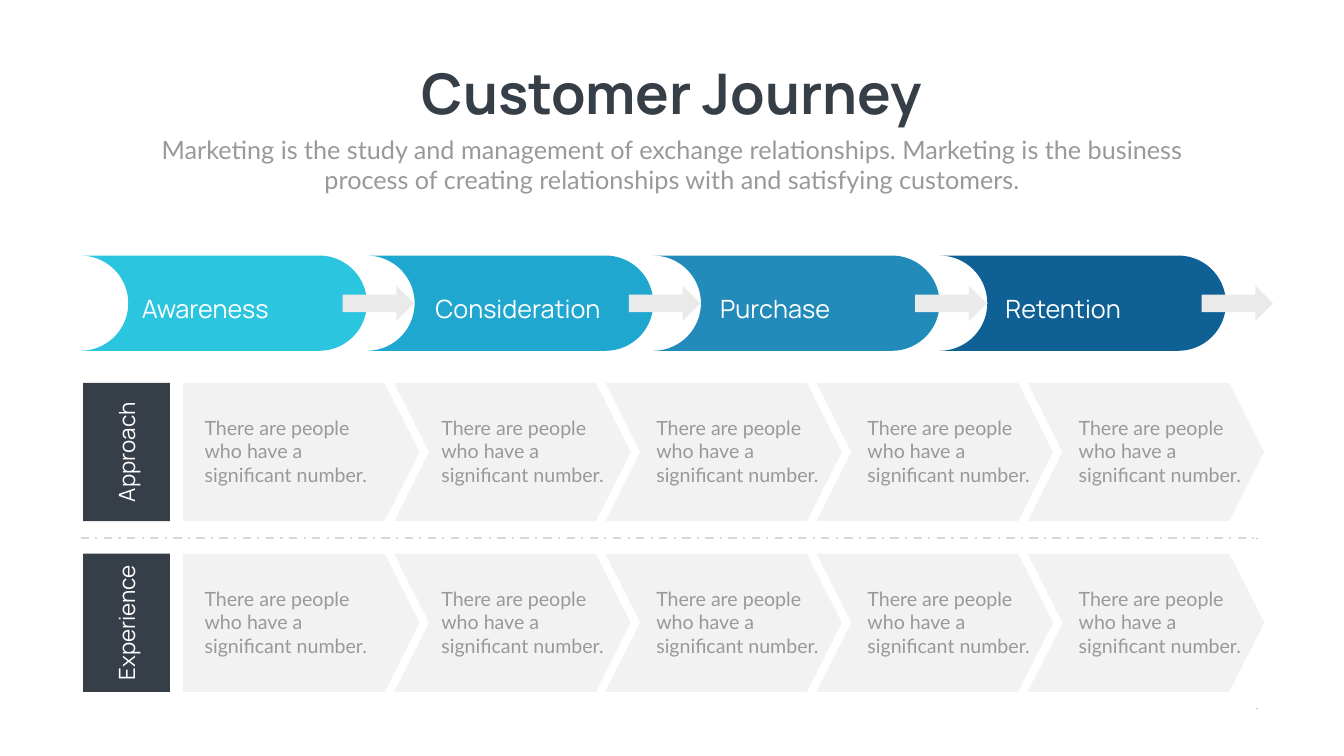
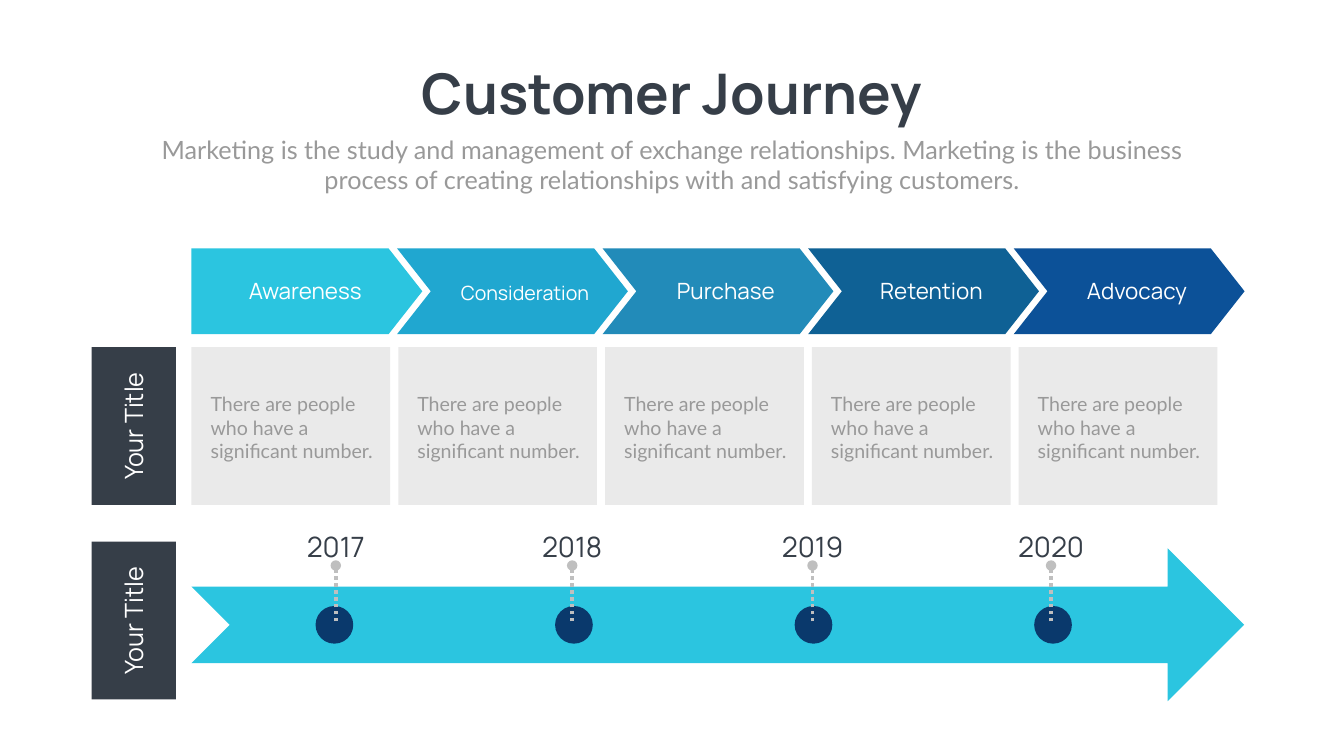
from pptx import Presentation
from pptx.dml.color import RGBColor
from pptx.enum.dml import MSO_LINE
from pptx.enum.shapes import MSO_CONNECTOR, MSO_SHAPE
from pptx.enum.text import MSO_ANCHOR, MSO_AUTO_SIZE, PP_ALIGN
from pptx.oxml.ns import qn
from pptx.util import Cm, Pt
from lxml.etree import SubElement

HEADING_FONT, BODY_FONT = "Manrope", "Lato"
DARK, GREY, WHITE = "363E48", "999999", "FFFFFF"
PANEL, PALE, NAVY = "EAEAEA", "F2F2F2", "0A396C"
STAGE_COLOURS = ["2BC5E0", "20A7D0", "228BB9", "0F6195", "0C5198"]

TITLE = "Customer Journey"
SUBTITLE = ("Marketing is the study and management of exchange relationships. "
            "Marketing is the business process of creating relationships with "
            "and satisfying customers.")
NOTE = "There are people who have a significant number."
STAGES = ["Awareness", "Consideration", "Purchase", "Retention", "Advocacy"]


def rgb(colour):
    return RGBColor.from_string(colour)


def line_height(size):
    """Height in cm of a one-line box for text of the given point size."""
    return round(size * 0.051, 2)


def write(shape, text, size, font, colour, align, bold=False):
    frame = shape.text_frame
    frame.text = text
    frame.word_wrap = True
    frame.auto_size = MSO_AUTO_SIZE.NONE
    frame.vertical_anchor = MSO_ANCHOR.TOP
    paragraph = frame.paragraphs[0]
    paragraph.alignment = align
    paragraph.space_before = Pt(0)
    paragraph.font.size = Pt(size)
    paragraph.font.name = font
    paragraph.font.bold = bold
    paragraph.font.color.rgb = rgb(colour)


def add_text(slide, box, text, size, font=HEADING_FONT, colour=WHITE,
             align=PP_ALIGN.CENTER):
    label = slide.shapes.add_textbox(*map(Cm, box))
    write(label, text, size, font, colour, align)
    return label


def add_note(slide, left, top):
    add_text(slide, (left, top, 8.75, 3.75), NOTE, 28, BODY_FONT, GREY,
             PP_ALIGN.LEFT)


def add_block(slide, preset, box, colour, adjustment=None):
    block = slide.shapes.add_shape(preset, *map(Cm, box))
    block.shadow.inherit = False
    block.fill.solid()
    block.fill.fore_color.rgb = rgb(colour)
    block.line.fill.background()
    if adjustment is not None:
        block.adjustments[0] = adjustment
    return block


def add_line(slide, ends, colour, width, dash=None, oval_end=False):
    line = slide.shapes.add_connector(MSO_CONNECTOR.STRAIGHT, *map(Cm, ends))
    line.line.color.rgb = rgb(colour)
    line.line.width = Pt(width)
    if dash:
        line.line.dash_style = dash
    properties = line._element.spPr
    if oval_end:
        SubElement(properties.find(qn("a:ln")), qn("a:tailEnd"), type="oval")
    SubElement(properties, qn("a:effectLst"))


def add_chevrons(slide, box, pitch, tip, colours):
    """Draw a flat-backed pentagon followed by chevrons; return their lefts."""
    left, top, width, height = box
    lefts = [left + i * pitch for i in range(len(colours))]
    for i, (x, colour) in enumerate(zip(lefts, colours)):
        preset = MSO_SHAPE.CHEVRON if i else MSO_SHAPE.PENTAGON
        add_block(slide, preset, (x, top, width, height), colour, tip / height)
    return lefts


def add_row_label(slide, box, text, size):
    """Draw a dark panel with its text turned to read upwards."""
    left, top, width, height = box
    add_block(slide, MSO_SHAPE.RECTANGLE, box, DARK)
    text_width, text_height = 9.2, line_height(size)
    label = add_text(slide, (left + (width - text_width) / 2,
                             top + (height - text_height) / 2,
                             text_width, text_height), text, size)
    label.rotation = 270


def add_headed_slide(deck):
    slide = deck.slides.add_slide(deck.slide_layouts[0])
    headings = [
        (slide.shapes.title, (19.94, 2.84, 27.84, 3.68),
         (TITLE, 80, HEADING_FONT, DARK, PP_ALIGN.CENTER, True)),
        (slide.placeholders[1], (7.42, 6.63, 52.88, 3.33),
         (SUBTITLE, 36, BODY_FONT, GREY, PP_ALIGN.CENTER)),
    ]
    for holder, box, content in headings:
        holder.left, holder.top, holder.width, holder.height = map(Cm, box)
        write(holder, *content)
    return slide


def add_stage_band(slide, box):
    left, top, width, height = box
    stage_width = width / 4
    label_offsets = [2.84, 3.2, 3.12, 3.07]
    for i, offset in enumerate(label_offsets):
        x = left + i * stage_width
        stage = add_block(slide, MSO_SHAPE.FLOWCHART_STORED_DATA,
                          (x, top, stage_width, height), STAGE_COLOURS[i])
        stage._element.spPr.xfrm.set("flipH", "1")
        add_text(slide, (x + offset, top + 1.78, 10, 1.25), STAGES[i], 36,
                 align=PP_ALIGN.LEFT)
        add_block(slide, MSO_SHAPE.RIGHT_ARROW,
                  (x + 13.2, top + 1.52, 3.6, 1.78), PANEL)


def add_note_row(slide, box, title):
    left, top, width, height = box
    add_row_label(slide, (left, top, 4.37, height), title, 32)
    lefts = add_chevrons(slide, (left + 5.03, top, 11.92, height), 10.64, 1.76,
                         [PALE] * 5)
    for x, offset in zip(lefts, [0.84, 2.13, 2.32, 2.32, 2.32]):
        add_note(slide, x + offset, top + 1.53)
    tick_y = top + 7.81
    add_line(slide, (left + width - 0.4, tick_y, left + width - 0.3, tick_y),
             "BCBEC0", 0.75)


def add_stage_chevrons(slide, box):
    left, top, width, height = box
    lefts = add_chevrons(slide, (left, top, 11.63, height),
                         (width - 11.63) / 4, 1.7, STAGE_COLOURS)
    sizes = [32, 28, 32, 32, 32]
    offsets = [-0.48, 0.23, 0, 0, 0]
    for x, stage, size, offset in zip(lefts, STAGES, sizes, offsets):
        label_height = line_height(size)
        add_text(slide, (x + offset, top + 2.95 - label_height, 12.42,
                         label_height), stage, size)


def add_note_cells(slide, box):
    left, top, width, height = box
    cell_width = 10.01
    pitch = (width - cell_width) / 4
    for i in range(5):
        x = left + i * pitch
        add_block(slide, MSO_SHAPE.ROUNDED_RECTANGLE,
                  (x, top, cell_width, height), PANEL, 0)
        add_note(slide, x + 0.71, top + 2.13)


def add_timeline(slide, box):
    left, top, width, height = box
    add_block(slide, MSO_SHAPE.NOTCHED_RIGHT_ARROW, box, STAGE_COLOURS[0])
    year_centres = {"2017": 7.27, "2018": 19.18, "2019": 31.29, "2020": 43.31}
    for i, (year, centre) in enumerate(year_centres.items()):
        add_block(slide, MSO_SHAPE.OVAL,
                  (left + 6.25 + i * 12.07, top + 2.9, 1.9, 1.9), NAVY)
        x = left + centre
        add_text(slide, (x - 4.75, top - 1.09, 9.5, 1.96), year, 40,
                 colour=DARK)
        add_line(slide, (x, top + 3.68, x, top + 0.86), "BFBFBF", 5,
                 MSO_LINE.ROUND_DOT, oval_end=True)


def build_approach_slide(deck):
    slide = add_headed_slide(deck)
    add_stage_band(slide, (4.06, 12.88, 57.71, 4.8))
    add_line(slide, (4.06, 27.1, 63.2, 27.1), "D8D8D8", 3, MSO_LINE.DASH_DOT)
    add_note_row(slide, (4.19, 19.3, 59.48, 6.97), "Approach")
    add_note_row(slide, (4.19, 27.9, 59.48, 6.97), "Experience")


def build_timeline_slide(deck):
    slide = add_headed_slide(deck)
    add_stage_chevrons(slide, (9.65, 12.52, 53.06, 4.32))
    for top in (17.5, 27.3):
        add_row_label(slide, (4.62, top, 4.24, 7.95), "Your Title", 36)
    add_note_cells(slide, (9.65, 17.5, 51.69, 7.95))
    add_timeline(slide, (9.65, 27.64, 53.04, 7.7))


def main():
    deck = Presentation()
    deck.slide_width, deck.slide_height = Cm(67.72), Cm(38.1)
    build_approach_slide(deck)
    build_timeline_slide(deck)
    deck.save("out.pptx")


if __name__ == "__main__":
    main()
